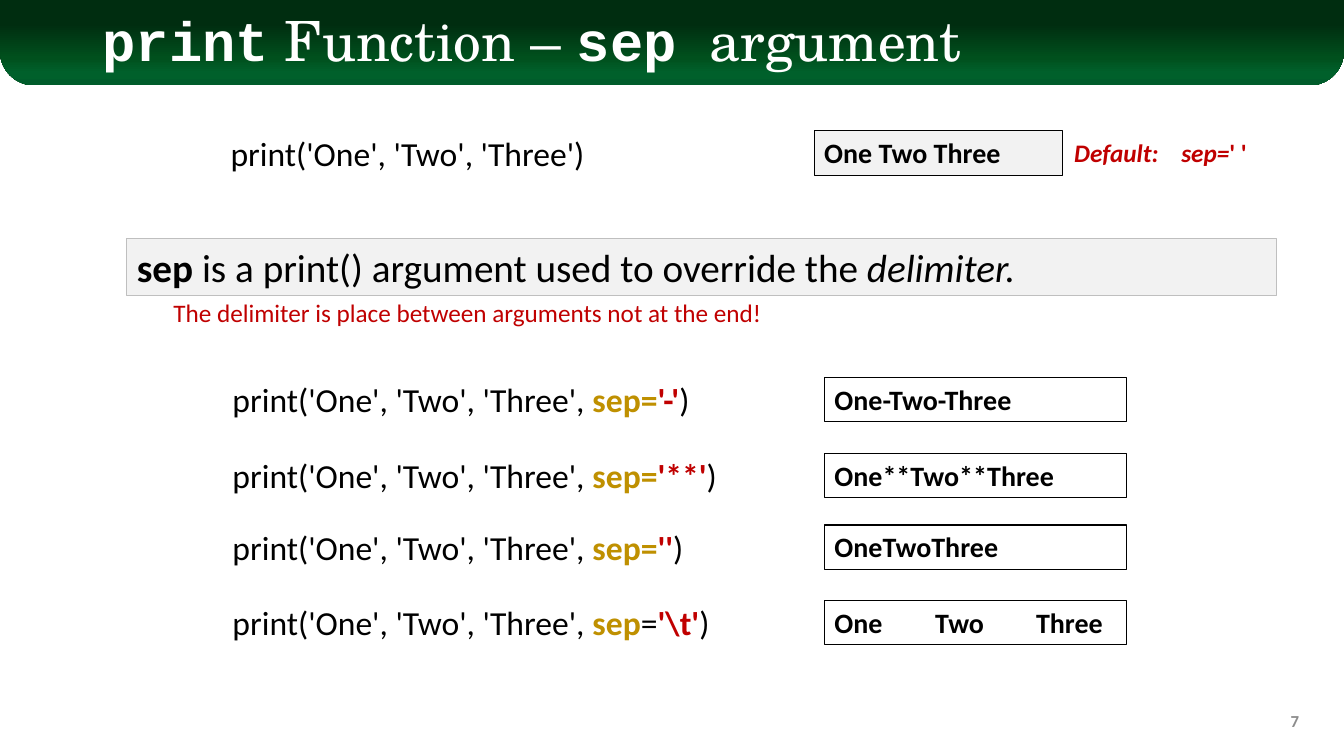
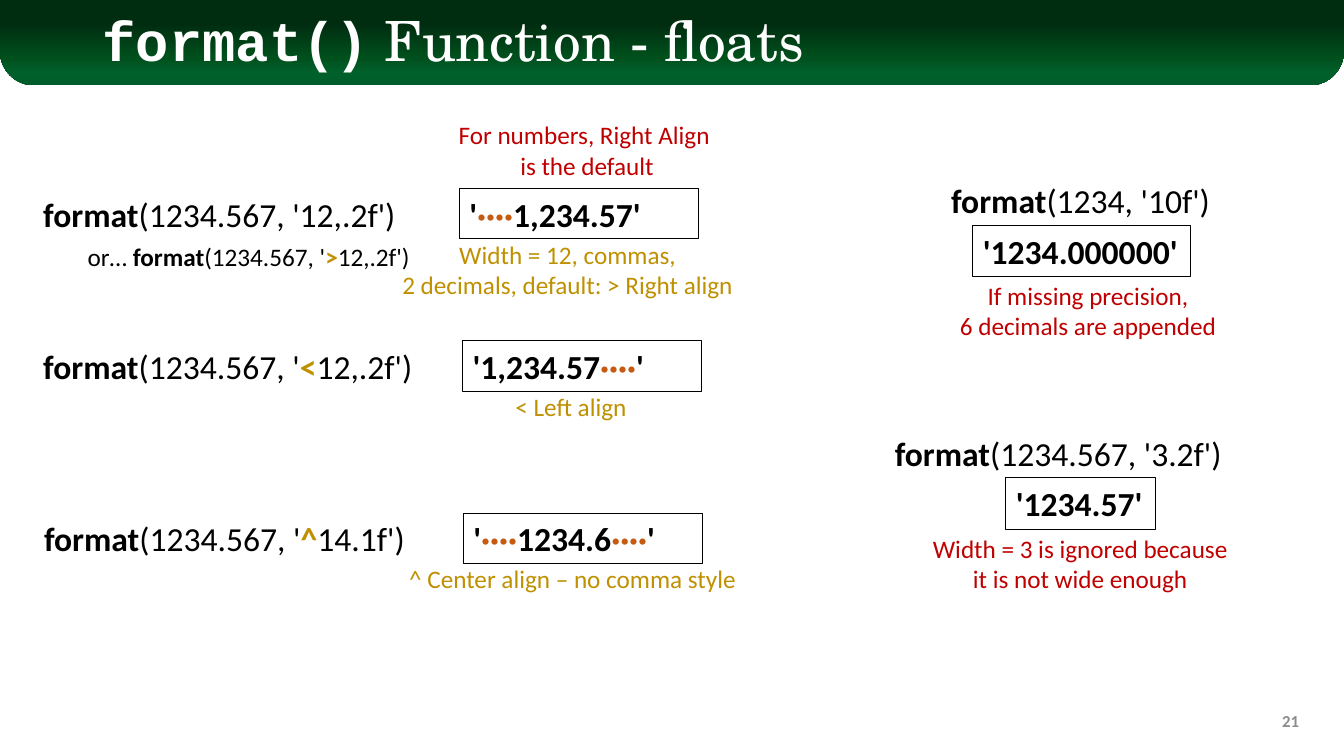
import lxml.etree
import pptx
import pptx.dml.color
import pptx.enum.dml
import pptx.enum.shapes
import pptx.enum.text
import pptx.oxml.ns
import pptx.util

Cm = pptx.util.Cm
Pt = pptx.util.Pt
qn = pptx.oxml.ns.qn
ALIGN = pptx.enum.text.PP_ALIGN
ANCHOR = pptx.enum.text.MSO_ANCHOR
SHAPE = pptx.enum.shapes.MSO_SHAPE

BLACK, WHITE, GREY = "000000", "FFFFFF", "8C8C8C"
RED, GOLD, ORANGE = "C00000", "BF9000", "C55A11"
PALE, SILVER = "F2F2F2", "BFBFBF"
BAND_STOPS = [(28, "002D10"), (68, "00501D"), (85, "00602B"), (100, "005C2B")]

BOLD = {"bold": True}
ITALIC = {"italic": True}
KEYWORD = {"bold": True, "color": GOLD}
VALUE = {"bold": True, "color": RED}
TITLE = {"name": "TeX Gyre Schola", "size": Pt(39.6), "color": WHITE}
TITLE_CODE = {"name": "Courier New", "bold": True}
DOTS = ("\u0387" * 4, {"color": ORANGE})


def rgb(color):
    return pptx.dml.color.RGBColor.from_string(color)


def body_style(size, color=BLACK, **values):
    return {"name": "Calibri", "size": Pt(size), "color": color, **values}


def set_format(target, values):
    for name, value in values.items():
        if name == "color":
            target.color.rgb = rgb(value)
        else:
            setattr(target, name, value)


def add_tab_stops(paragraph, positions):
    properties = paragraph._p.get_or_add_pPr()
    tab_list = lxml.etree.SubElement(properties, qn("a:tabLst"))
    for position in positions:
        lxml.etree.SubElement(tab_list, qn("a:tab"), pos=str(Cm(position)), algn="l")


def write_text(shape, paragraphs, style, align=ALIGN.LEFT, wrap=True,
               anchor=ANCHOR.TOP, line_spacing=None, tabs=()):
    frame = shape.text_frame
    set_format(frame, {"word_wrap": wrap, "vertical_anchor": anchor})
    for index, runs in enumerate(paragraphs):
        paragraph = frame.add_paragraph() if index else frame.paragraphs[0]
        set_format(paragraph, {"alignment": align, "line_spacing": line_spacing})
        if tabs:
            add_tab_stops(paragraph, tabs)
        for text, changes in runs:
            if text == "\n":
                paragraph.add_line_break()
                continue
            run = paragraph.add_run()
            run.text = text
            set_format(run.font, {**style, **changes})


def add_text(slide, box, paragraphs, style, **layout):
    shape = slide.shapes.add_textbox(*map(Cm, box))
    write_text(shape, paragraphs, style, **layout)


def add_box(slide, box, runs, style, fill=None, line=BLACK, **layout):
    shape = slide.shapes.add_shape(SHAPE.RECTANGLE, *map(Cm, box))
    shape.shadow.inherit = False
    if fill:
        shape.fill.solid()
        shape.fill.fore_color.rgb = rgb(fill)
    else:
        shape.fill.background()
    shape.line.color.rgb = rgb(line)
    shape.line.width = Pt(0.75)
    write_text(shape, [runs], style, **layout)


def add_note(slide, box, lines, color, **layout):
    paragraphs = [[(line, {})] for line in lines]
    add_text(slide, box, paragraphs, body_style(18, color), **layout)


def add_band(slide, width):
    band = slide.shapes.add_shape(SHAPE.ROUND_2_SAME_RECTANGLE, 0, 0, width, Cm(2.15))
    band.shadow.inherit = False
    band.line.fill.background()
    band.adjustments[0], band.adjustments[1] = 0, 0.4
    band.fill.gradient()
    band.fill.gradient_angle = 270
    stops = band.element.spPr.find(".//" + qn("a:gsLst"))
    for stop in list(stops):
        stops.remove(stop)
    for position, color in BAND_STOPS:
        stop = lxml.etree.SubElement(stops, qn("a:gs"), pos=str(position * 1000))
        lxml.etree.SubElement(stop, qn("a:srgbClr"), val=color)


def add_slide(presentation, title, number):
    slide = presentation.slides.add_slide(presentation.slide_layouts[6])
    add_band(slide, presentation.slide_width)
    add_text(slide, (2.34, 0.33, 29.21, 1.55), [title], TITLE,
             anchor=ANCHOR.MIDDLE, line_spacing=0.9)
    add_text(slide, (25.37, 17.65, 7.62, 1.02), [[(number, {})]],
             body_style(12, GREY, bold=True), align=ALIGN.RIGHT, anchor=ANCHOR.MIDDLE)
    return slide


def build_separator_slide(presentation):
    slide = add_slide(presentation, [("print", TITLE_CODE), (" Function – ", {}),
                                     ("sep ", TITLE_CODE), ("argument", {})], "7")
    code, output = body_style(24), body_style(20, bold=True)
    add_text(slide, (5.56, 3.23, 9.53, 1.27),
             [[("print('One', 'Two', 'Three')", {})]], code, wrap=False)
    add_box(slide, (20.52, 3.3, 6.25, 1.12), [("One Two Three", {})], output, fill=PALE)
    add_text(slide, (26.82, 3.33, 5.08, 1.02),
             [[("Default:\tsep=", ITALIC), ("' '", {})]],
             body_style(18, RED, bold=True), tabs=[2.7])
    add_box(slide, (3.2, 6, 28.96, 1.45),
            [("sep ", BOLD), ("is a print() argument used to override the ", {}),
             ("delimiter.", ITALIC)], body_style(28), fill=PALE, line=SILVER)
    add_note(slide, (4.12, 7.37, 15.85, 1.02),
             ["The delimiter is place between arguments not at the end!"], RED, wrap=False)

    examples = [
        (9.51, KEYWORD, "'-'", "One-Two-Three"),
        (11.42, KEYWORD, "'**'", "One**Two**Three"),
        (13.23, KEYWORD, "''", "OneTwoThree"),
        (15.13, {}, "'\\t'", "One\tTwo\tThree"),
    ]
    for top, equals, separator, result in examples:
        add_text(slide, (5.61, top - 0.08, 13.44, 1.27),
                 [[("print('One', 'Two', 'Three', ", {}), ("sep", KEYWORD),
                   ("=", equals), (separator, VALUE), (")", {})]], code)
        add_box(slide, (20.78, top, 7.62, 1.12), [(result, {})], output,
                tabs=[2.54, 5.08] if "\t" in result else ())


def build_float_slide(presentation):
    slide = add_slide(presentation, [("format()", TITLE_CODE),
                                     (" Function - floats", {})], "21")
    code, output = body_style(24), body_style(24, bold=True)
    function = ("format", BOLD)

    alignments = [
        (0.84, 11.58, 4.75, [("(1234.567, '12,.2f')", {})],
         [("'", {}), DOTS, ("1,234.57'", {})]),
        (0.84, 11.66, 8.59, [("(1234.567, '", {}), ("<", KEYWORD), ("12,.2f')", {})],
         [("'1,234.57", {}), DOTS, ("'", {})]),
        (0.86, 11.68, 12.93, [("(1234.567, '", {}), ("^", KEYWORD), ("14.1f')", {})],
         [("'", {}), DOTS, ("1234.6", {}), DOTS, ("'", {})]),
    ]
    for code_left, box_left, top, arguments, result in alignments:
        add_text(slide, (code_left, top, 9.88, 1.27), [[function] + arguments], code)
        add_box(slide, (box_left, top, 6.02, 1.27), result, output)
    add_text(slide, (1.96, 5.95, 8.71, 1.02),
             [[("or… ", {}), function, ("(1234.567, '", {}), (">", KEYWORD),
               ("12,.2f')", {})]], body_style(18))

    notes = [
        ((11.2, 2.89, 7.19, 1.8), ["For numbers, Right Align ", "is the default"], RED),
        ((9.86, 5.91, 8.89, 1.8),
         ["Width = 12, commas,", "2 decimals, default: > Right align"], GOLD),
        ((12.7, 9.74, 3.38, 1.02), ["< Left align"], GOLD),
        ((10.01, 14.07, 8.84, 1.02), ["^ Center align – no comma style"], GOLD),
    ]
    for box, lines, color in notes:
        add_note(slide, box, lines, color, align=ALIGN.CENTER, wrap=False)

    precisions = [
        ((23.72, 4.4, 7.04, 1.27), "(1234, '10f')",
         (24.52, 5.69, 5.48, 1.27), "'1234.000000'", (23.8, 6.93, 7.24, 1.8),
         [("If missing precision,", {}), ("\n", {}), ("6 decimals are appended", {})]),
        ((22.3, 10.78, 9.88, 1.27), "(1234.567, '3.2f')",
         (25.35, 12.04, 3.78, 1.3), "'1234.57'", (23.07, 13.31, 8.31, 1.8),
         [("Width = 3 is ignored because it is not wide enough", {})]),
    ]
    for code_box, arguments, output_box, result, note_box, note in precisions:
        add_text(slide, code_box, [[function, (arguments, {})]], code)
        add_box(slide, output_box, [(result, {})], output)
        add_text(slide, note_box, [note], body_style(18, RED), align=ALIGN.CENTER)


def main():
    presentation = pptx.Presentation()
    set_format(presentation, {"slide_width": Cm(33.87), "slide_height": Cm(19.05)})
    build_separator_slide(presentation)
    build_float_slide(presentation)
    presentation.save("out.pptx")


main()
